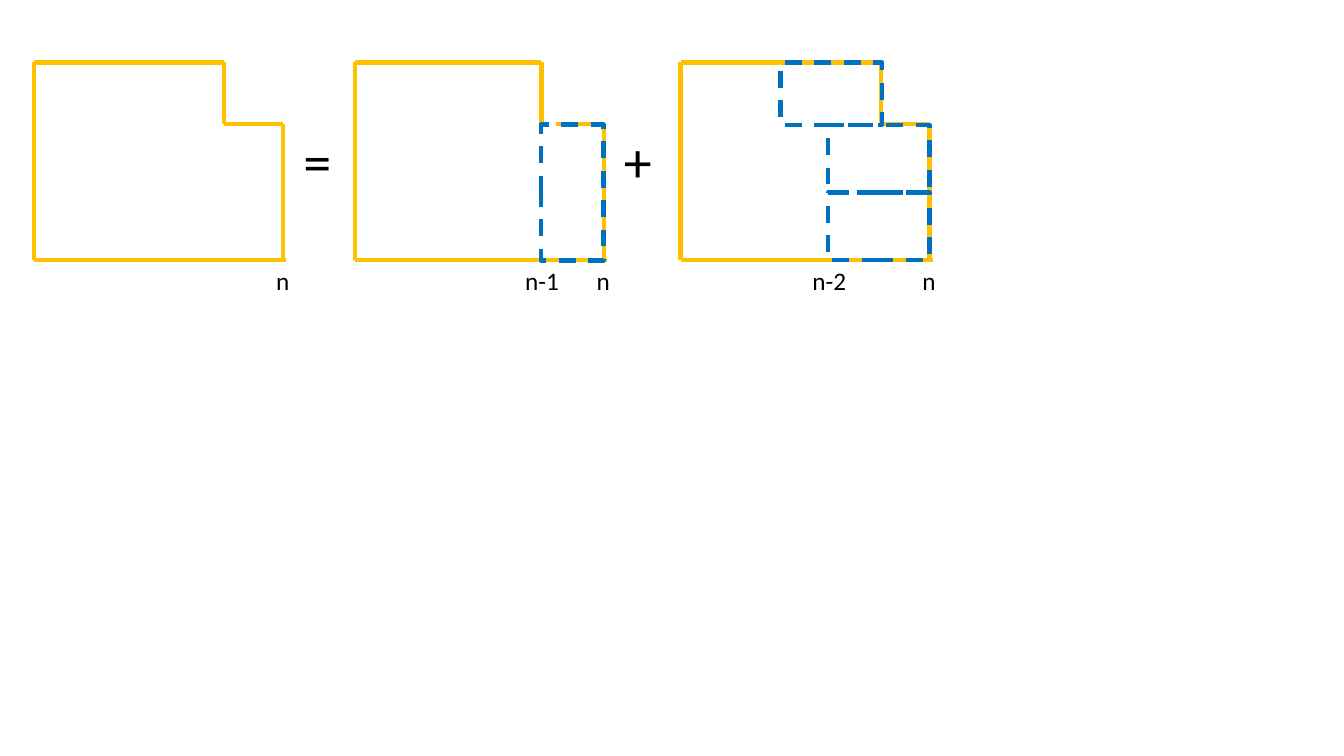
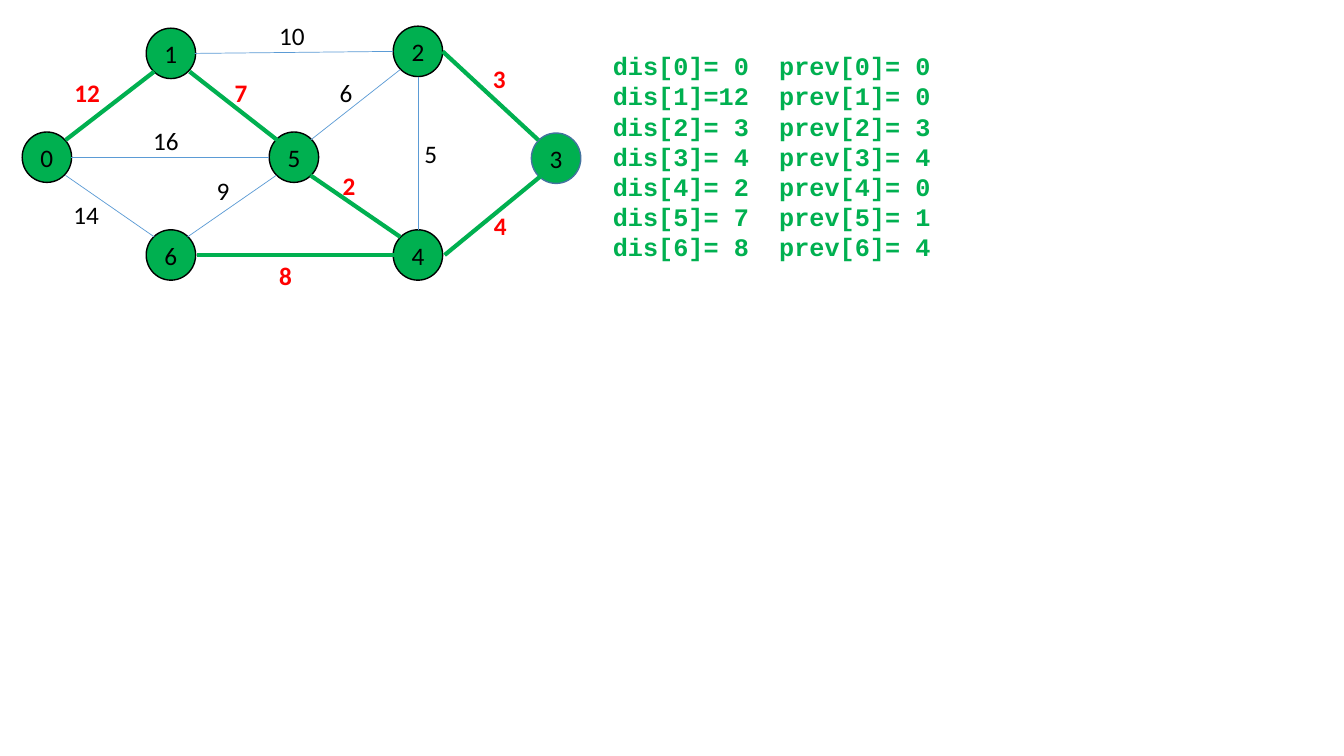
from lxml import etree
from pptx import Presentation
from pptx.dml.color import RGBColor
from pptx.enum import dml, shapes, text
from pptx.oxml.ns import qn
from pptx.util import Inches, Pt

HUES = {"black": "000000", "gold": "FFC000", "blue": "0070C0", "green": "00B050",
        "red": "FF0000", "pale": "5B9BD5", "steel": "43739E"}
HUE = {name: RGBColor.from_string(code) for name, code in HUES.items()}

deck = Presentation()
deck.slide_width, deck.slide_height = Inches(13.33), Inches(7.5)


def line(page, x1, y1, x2, y2, hue, wide):
    rule = page.shapes.add_connector(shapes.MSO_CONNECTOR.STRAIGHT, Inches(x1),
                                     Inches(y1), Inches(x2), Inches(y2))
    rule.line.color.rgb = HUE[hue]
    rule.line.width = Pt(wide)
    etree.SubElement(rule._element.spPr, qn("a:effectLst"))


def write(page, x, y, w, h, rows, size=18, hue="black", bold=False, face="Calibri"):
    box = page.shapes.add_textbox(Inches(x), Inches(y), Inches(w), Inches(h))
    frame = box.text_frame
    frame.word_wrap = False
    for i, row in enumerate(rows):
        para = frame.paragraphs[0] if i == 0 else frame.add_paragraph()
        run = para.add_run()
        run.text = row
        run.font.name, run.font.size, run.font.bold = face, Pt(size), bold
        run.font.color.rgb = HUE[hue]


# Slide 1: tiling recurrence
page = deck.slides.add_slide(deck.slide_layouts[6])
TOP, STEP, BASE = 0.62, 1.23, 2.58

# Stepped outlines: left, notch, start of the step, right
for left, notch, start, right in [(0.34, 2.22, 2.22, 2.81),
                                  (3.52, 5.37, 5.51, 5.99),
                                  (6.75, 8.74, 8.74, 9.22)]:
    for ends in [(left, TOP, notch, TOP), (left, TOP, left, BASE),
                 (left, BASE, right + 0.03, BASE), (notch, TOP, notch, STEP),
                 (start, STEP, right, STEP), (right, STEP, right, BASE)]:
        line(page, *ends, "gold", 3)
    write(page, right - 0.17, BASE, 0.34, 0.4, ["n"])

# Dashed tiles
for x, y, w, h, turn in [(8.21, 1.91, 1.01, 0.67, 0), (8.21, 1.24, 1.01, 0.67, 0),
                         (7.74, TOP, 1.01, 0.62, 0), (5, 1.6, 1.35, 0.62, 90)]:
    tile = page.shapes.add_shape(shapes.MSO_SHAPE.RECTANGLE, Inches(x), Inches(y),
                                 Inches(w), Inches(h))
    tile.rotation = turn
    tile.shadow.inherit = False
    tile.fill.background()
    tile.line.color.rgb = HUE["blue"]
    tile.line.width = Pt(3)
    tile.line.dash_style = dml.MSO_LINE.DASH

# Cut labels and operators
for x, label in [(5.11, "n-1"), (7.96, "n-2")]:
    write(page, x, BASE, 0.54, 0.4, [label])
for x, sign in [(2.91, "="), (6.09, "+")]:
    write(page, x, 1.21, 0.48, 0.77, [sign], size=40)

# Slide 2: spanning tree
page = deck.slides.add_slide(deck.slide_layouts[6])

# Nodes
for name, x, y in [("0", 0.22, 1.31), ("1", 1.45, 0.28), ("6", 1.45, 2.28),
                   ("2", 3.9, 0.26), ("4", 3.9, 2.28), ("5", 2.67, 1.31),
                   ("3", 5.27, 1.32)]:
    node = page.shapes.add_shape(shapes.MSO_SHAPE.OVAL, Inches(x), Inches(y),
                                 Inches(0.49), Inches(0.5))
    node.shadow.inherit = False
    node.fill.solid()
    node.fill.fore_color.rgb = HUE["green"]
    node.line.color.rgb = HUE["steel" if name == "3" else "black"]
    node.line.width = Pt(1)
    frame = node.text_frame
    frame.vertical_anchor = text.MSO_ANCHOR.MIDDLE
    para = frame.paragraphs[0]
    para.alignment = text.PP_ALIGN.CENTER
    run = para.add_run()
    run.text = name
    run.font.name, run.font.size = "Calibri", Pt(18)
    run.font.color.rgb = HUE["black"]

# Edges: ends, weight, place of the weight
tree = [((0.65, 1.39, 1.53, 0.71), "12", 0.64, 0.72),
        ((1.88, 0.71, 2.75, 1.39), "7", 2.23, 0.72),
        ((1.95, 2.53, 3.92, 2.53), "8", 2.67, 2.53),
        ((5.36, 1.75, 4.41, 2.53), "4", 4.8, 2.04),
        ((4.39, 0.51, 5.34, 1.39), "3", 4.79, 0.58),
        ((3.08, 1.74, 3.97, 2.35), "2", 3.3, 1.64)]
rest = [((0.65, 1.74, 1.53, 2.35), "14", 0.63, 1.93),
        ((1.93, 0.53, 3.9, 0.51), "10", 2.67, 0.15),
        ((4.15, 0.76, 4.15, 2.28), "5", 4.11, 1.32),
        ((3.08, 1.39, 3.97, 0.69), "6", 3.27, 0.72),
        ((2.74, 1.74, 1.86, 2.35), "9", 2.05, 1.69),
        ((0.7, 1.56, 2.67, 1.56), "16", 1.42, 1.19)]
for edges, hue, wide, ink, bold in [(rest, "pale", 0.5, "black", False),
                                    (tree, "green", 3, "red", True)]:
    for ends, cost, x, y in edges:
        line(page, *ends, hue, wide)
        write(page, x, y, 0.2 + 0.13 * len(cost), 0.4, [cost], hue=ink, bold=bold)

# Distance and parent listing
dist = [0, 12, 3, 4, 2, 7, 8]
prev = [0, 0, 3, 4, 0, 1, 4]
rows = [f"dis[{i}]={d:2}  prev[{i}]= {p}" for i, (d, p) in enumerate(zip(dist, prev))]
write(page, 5.98, 0.45, 3.53, 2.22, rows, hue="green", bold=True, face="Courier New")

deck.save("out.pptx")
